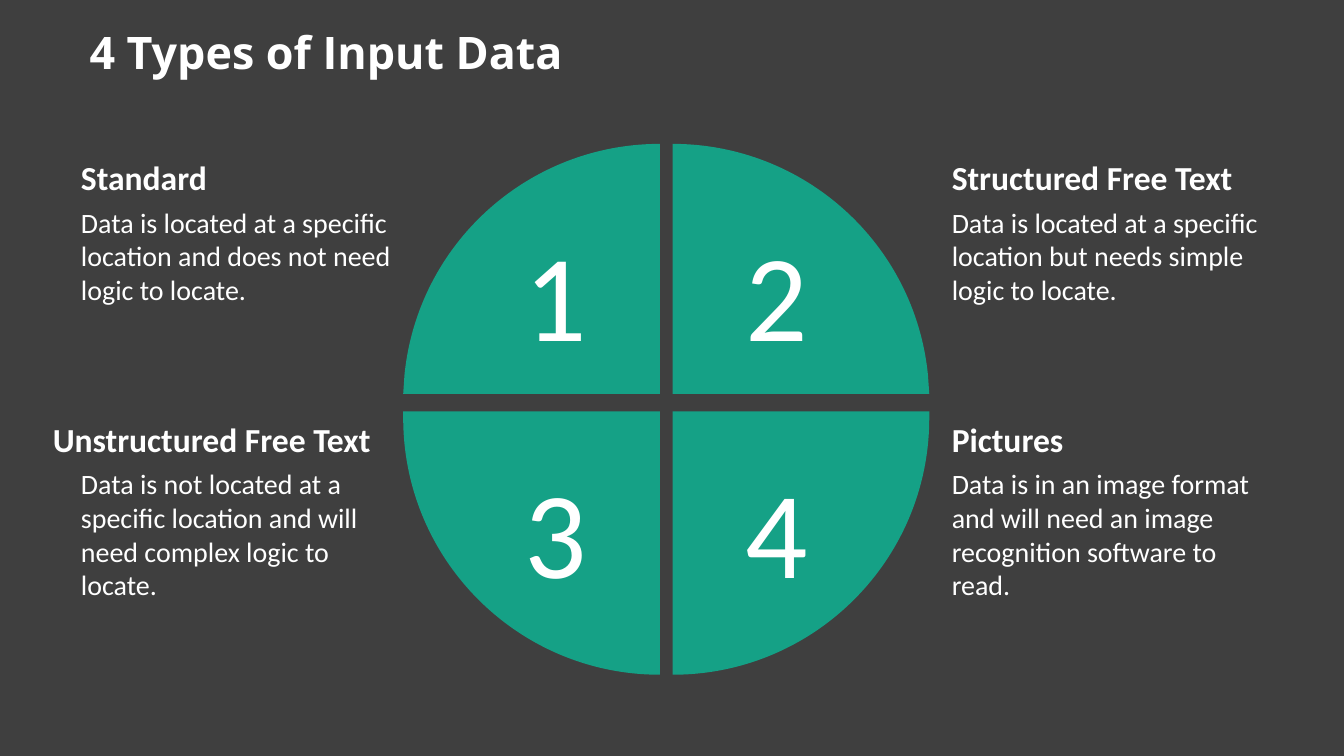
from math import cos, pi, sin, tan

from lxml import etree
from pptx import Presentation
from pptx.dml.color import RGBColor
from pptx.enum.text import MSO_ANCHOR
from pptx.oxml.ns import qn
from pptx.util import Pt

TOP = MSO_ANCHOR.TOP
MIDDLE = MSO_ANCHOR.MIDDLE
BACKGROUND = RGBColor(0x3F, 0x3F, 0x3F)
GREEN = RGBColor(0x15, 0xA1, 0x86)
WHITE = RGBColor(0xFF, 0xFF, 0xFF)

FORMATS = {
    "title": {"name": "Open Sans", "size": Pt(24), "bold": True},
    "heading": {"name": "Calibri", "size": Pt(18), "bold": True},
    "body": {"name": "Calibri", "size": Pt(15), "bold": False},
    "number": {"name": "Calibri", "size": Pt(66), "bold": False},
}
FRAME = {
    "word_wrap": True,
    "margin_left": Pt(5.2),
    "margin_right": Pt(5.2),
    "margin_top": Pt(2.6),
    "margin_bottom": Pt(2.6),
}

RADIUS = 137.5
COLUMNS = [
    {"side": -1, "corner": 353.5, "number": 275.8, "text": 38.2},
    {"side": 1, "corner": 360.3, "number": 394.2, "text": 504.7},
]
ROWS = [
    {"side": -1, "edge": 211, "center": 214.6, "start": 0.1, "number": 114.5, "text": 81.4},
    {"side": 1, "edge": 220.4, "center": 224, "start": 0, "number": 241.2, "text": 221.7},
]
DATA_TYPES = [
    ("Standard", "Data is located at a specific location and does not need logic to locate.", 0),
    ("Structured Free Text", "Data is located at a specific location but needs simple logic to locate.", 0),
    ("Unstructured Free Text", "Data is not located at a specific location and will need complex logic to locate.", 15.1),
    ("Pictures", "Data is in an image format and will need an image recognition software to read.", 0),
]


class SlideBuilder:
    def __init__(self, slide):
        self.slide = slide
        fill = slide.background.fill
        fill.solid()
        fill.fore_color.rgb = BACKGROUND

    def text(self, words, style, left, top, width, height, anchor=TOP, spacing=1.0):
        shape = self.slide.shapes.add_textbox(Pt(left), Pt(top), Pt(width), Pt(height))
        frame = shape.text_frame
        for name, value in FRAME.items():
            setattr(frame, name, value)
        frame.vertical_anchor = anchor
        paragraph = frame.paragraphs[0]
        paragraph.line_spacing = spacing
        run = paragraph.add_run()
        run.text = words
        for name, value in FORMATS[style].items():
            setattr(run.font, name, value)
        run.font.color.rgb = WHITE

    def quadrant(self, column, row):
        corner, edge, start = column["corner"], row["edge"], row["start"]
        pull = 4 / 3 * tan((pi / 2 - start) / 4)
        arc = [
            (cos(start), sin(start)),
            (cos(start) - pull * sin(start), sin(start) + pull * cos(start)),
            (pull, 1),
            (0, 1),
        ]
        points = [(corner + column["side"] * RADIUS, edge)]
        for x, y in arc:
            points.append((
                corner + column["side"] * RADIUS * x,
                row["center"] + row["side"] * RADIUS * y,
            ))
        builder = self.slide.shapes.build_freeform(Pt(corner), Pt(edge))
        builder.add_line_segments([(Pt(x), Pt(y)) for x, y in points], close=True)
        shape = builder.convert_to_shape()
        shape.shadow.inherit = False
        shape.fill.solid()
        shape.fill.fore_color.rgb = GREEN
        shape.line.fill.background()
        self.bend(shape)

    def bend(self, shape):
        lines = list(shape.element.iter(qn("a:lnTo")))[-3:]
        curve = etree.Element(qn("a:cubicBezTo"))
        lines[0].addprevious(curve)
        for line in lines:
            curve.append(line[0])
            line.getparent().remove(line)


def main():
    presentation = Presentation()
    presentation.slide_width = Pt(720)
    presentation.slide_height = Pt(405)
    builder = SlideBuilder(presentation.slides.add_slide(presentation.slide_layouts[6]))
    builder.text("4 Types of Input Data", "title", 42.8, 12.1, 639.4, 34.6, MIDDLE, 0.9)
    cells = [(column, row) for row in ROWS for column in COLUMNS]
    for number, ((column, row), (heading, body, outdent)) in enumerate(zip(cells, DATA_TYPES), 1):
        left, top = column["text"], row["text"]
        builder.quadrant(column, row)
        builder.text(str(number), "number", column["number"], row["number"], 44.6, 85.7)
        builder.text(heading, "heading", left - outdent, top, 177.1 + outdent, 27.4)
        builder.text(body, "body", left, top + 25.9, 177.1, 96.5)
    presentation.save("out.pptx")


if __name__ == "__main__":
    main()
